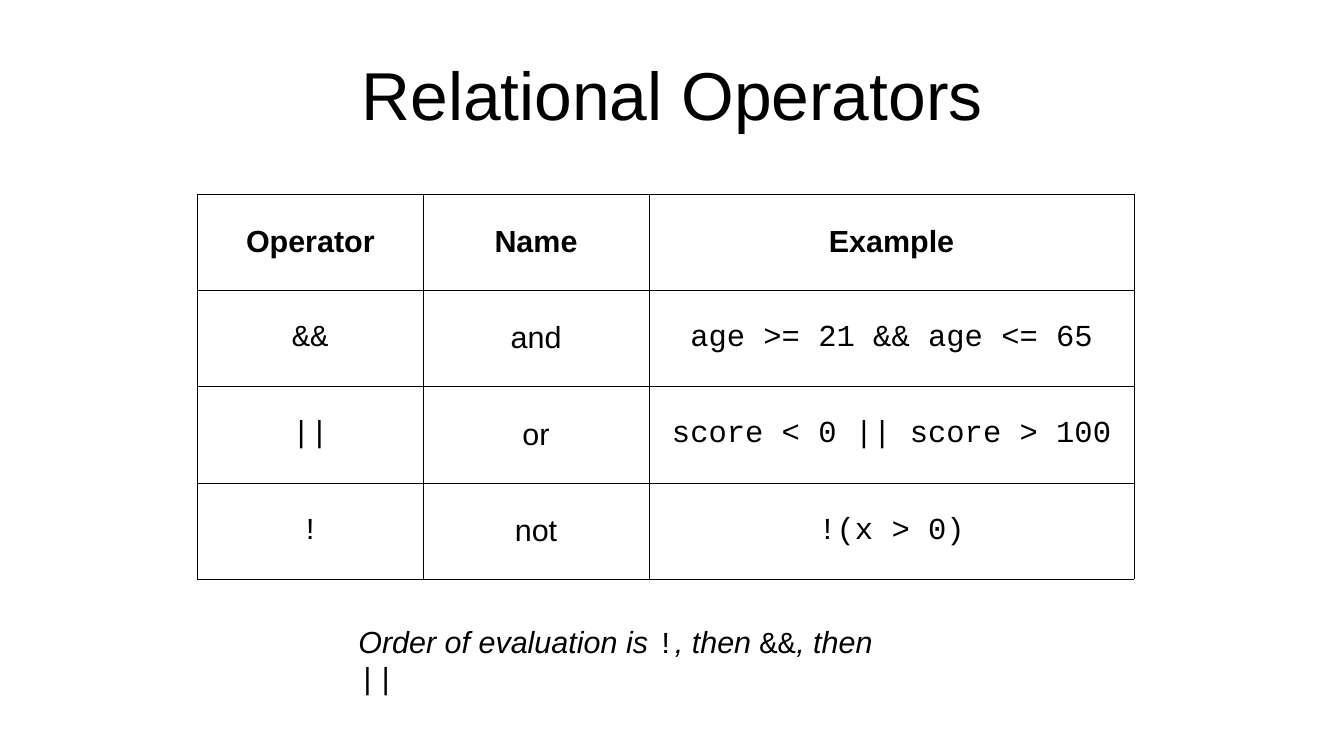
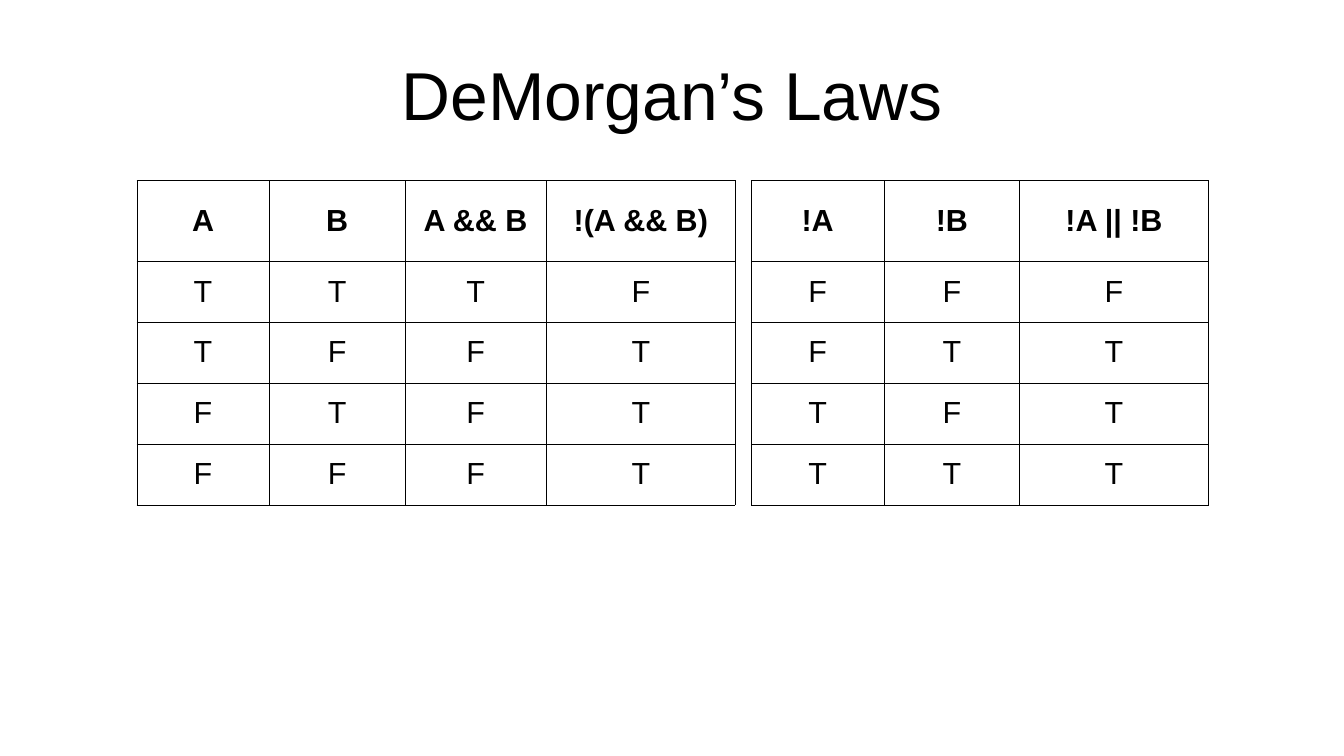
from pptx import Presentation
from pptx.dml.color import RGBColor
from pptx.enum.text import MSO_ANCHOR, MSO_AUTO_SIZE, PP_ALIGN
from pptx.oxml import parse_xml
from pptx.oxml.ns import nsdecls
from pptx.util import Inches, Pt

COLORS = {"text": "000000", "border": "000000"}
BODY_FONT = "Arial"
CODE_FONT = "Courier New"
BORDER_WIDTH = Pt(0.06)


def write(frame, text, size=18, font=BODY_FONT, bold=False, italic=False,
          align=PP_ALIGN.CENTER):
    """Append one run to the first paragraph of a text frame."""
    para = frame.paragraphs[0]
    para.alignment = align
    span = para.add_run()
    span.text = text
    span.font.size = Pt(size)
    span.font.name = font
    span.font.bold = bold
    span.font.italic = italic
    span.font.color.rgb = RGBColor.from_string(COLORS["text"])


def add_grid(page, left, top, widths, heights, rows, code_columns=()):
    """Add a ruled table whose first row is a bold header."""
    table = page.shapes.add_table(
        len(heights), len(widths), Inches(left), Inches(top),
        Inches(sum(widths)), Inches(sum(heights))).table
    table.first_row = False
    table.horz_banding = False
    for column, width in zip(table.columns, widths):
        column.width = Inches(width)
    for row, height in zip(table.rows, heights):
        row.height = Inches(height)
    for row_number, values in enumerate(rows):
        for column_number, value in enumerate(values):
            cell = table.cell(row_number, column_number)
            cell.vertical_anchor = MSO_ANCHOR.MIDDLE
            header = row_number == 0
            code = column_number in code_columns and not header
            write(cell.text_frame, value, bold=header,
                  font=CODE_FONT if code else BODY_FONT)
            properties = cell._tc.get_or_add_tcPr()
            for side in ("lnL", "lnR", "lnT", "lnB"):
                properties.append(parse_xml(
                    f'<a:{side} {nsdecls("a")} w="{BORDER_WIDTH}"><a:solidFill>'
                    f'<a:srgbClr val="{COLORS["border"]}"/>'
                    f'</a:solidFill></a:{side}>'))
            cell.fill.background()


deck = Presentation()
deck.slide_width = Inches(11.02)
deck.slide_height = Inches(6.2)

pages = []
for title in ("Relational Operators", "DeMorgan’s Laws"):
    page = deck.slides.add_slide(deck.slide_layouts[6])
    box = page.shapes.add_textbox(
        Inches(0.55), Inches(0.25), Inches(9.92), Inches(1.04))
    frame = box.text_frame
    frame.word_wrap = True
    frame.vertical_anchor = MSO_ANCHOR.MIDDLE
    frame.margin_left = frame.margin_right = 0
    frame.margin_top = frame.margin_bottom = 0
    write(frame, title, size=40)
    pages.append(page)
operators_page, laws_page = pages

# Relational operators
add_grid(operators_page, 1.62, 1.59, [1.85, 1.85, 3.98], [0.79] * 4, [
    ("Operator", "Name", "Example"),
    ("&&", "and", "age >= 21 && age <= 65"),
    ("||", "or", "score < 0 || score > 100"),
    ("!", "not", "!(x > 0)"),
], code_columns=(0, 2))

order_box = operators_page.shapes.add_textbox(
    Inches(2.84), Inches(5.06), Inches(4.78), Inches(0.4))
order_box.text_frame.word_wrap = False
order_box.text_frame.auto_size = MSO_AUTO_SIZE.SHAPE_TO_FIT_TEXT
for text, font, italic in (
    ("Order of evaluation is ", BODY_FONT, True),
    ("!", CODE_FONT, False),
    (", then ", BODY_FONT, True),
    ("&&", CODE_FONT, False),
    (", then ", BODY_FONT, True),
    ("||", CODE_FONT, True),
):
    write(order_box.text_frame, text, font=font, italic=italic,
          align=PP_ALIGN.LEFT)

# DeMorgan's laws: each string holds the truth values of one row
truth_heights = [0.66] + [0.5] * 4
for left, widths, header, truth_rows in (
    (1.12, [1.09, 1.11, 1.16, 1.55], ("A", "B", "A && B", "!(A && B)"),
     ("TTTF", "TFFT", "FTFT", "FFFT")),
    (6.16, [1.09, 1.11, 1.55], ("!A", "!B", "!A || !B"),
     ("FFF", "FTT", "TFT", "TTT")),
):
    add_grid(laws_page, left, 1.48, widths, truth_heights,
             [header, *truth_rows])

deck.save("out.pptx")
